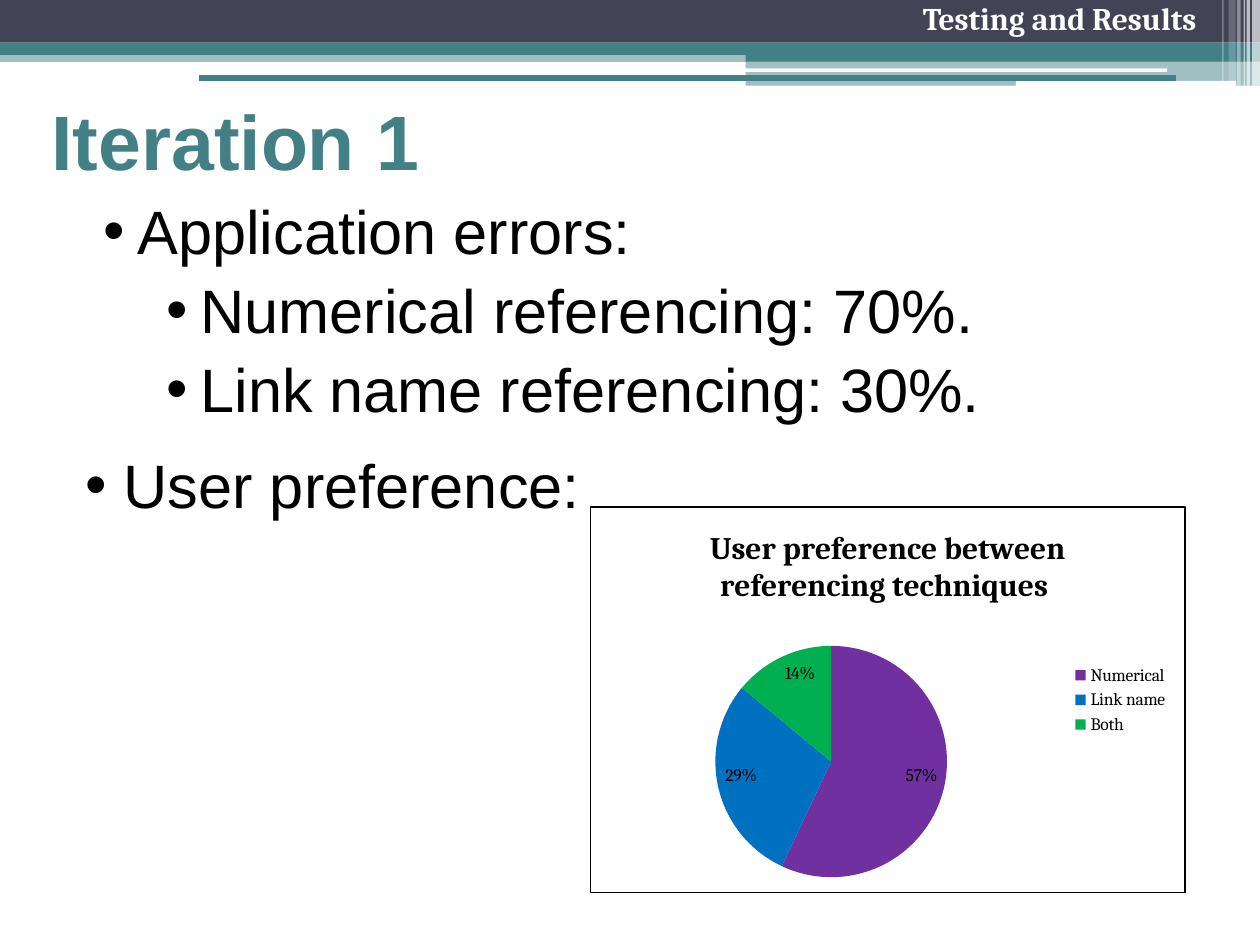
from lxml.etree import SubElement
from pptx import Presentation
from pptx.chart.data import CategoryChartData
from pptx.dml.color import RGBColor
from pptx.enum.chart import XL_CHART_TYPE as ChartType
from pptx.enum.chart import XL_LABEL_POSITION as LabelPosition
from pptx.enum.chart import XL_LEGEND_POSITION as LegendPosition
from pptx.enum.shapes import MSO_CONNECTOR as Connector
from pptx.enum.shapes import MSO_SHAPE as Shape
from pptx.enum.text import MSO_ANCHOR as Anchor
from pptx.enum.text import MSO_AUTO_SIZE as AutoSize
from pptx.enum.text import PP_ALIGN as Align
from pptx.oxml import parse_xml
from pptx.oxml.ns import nsdecls, qn
from pptx.util import Cm, Pt

TEAL, SLATE, WHITE, BLACK = "438086", "424456", "FFFFFF", "000000"
BANDS = [
    (0, 1.02, 25.4, 0.23, TEAL, 50),
    (0, 0, 25.4, 0.86, SLATE, 100),
    (0, 0.86, 25.4, 0.25, TEAL, 100),
    (15.03, 0.99, 10.37, 0.25, TEAL, 100),
    (15.03, 1.23, 10.37, 0.5, TEAL, 50),
]
HIGHLIGHTS = [(15.02, 1.38, 8.51, 0.07), (20.48, 1.63, 4.44, 0.1)]
STRIPES = [
    (25.24, 0.16, 1.73, 65),
    (25.13, 0.07, 1.73, 65),
    (25.07, 0.03, 1.73, 60),
    (24.94, 0.07, 1.73, 40),
    (24.77, 0.14, 1.63, 20),
    (24.64, 0.03, 1.63, 30),
]
ERRORS = [
    ("Application errors:", 1.83),
    ("Numerical referencing: 70%.", 3.1),
    ("Link name referencing: 30%.", 3.1),
]
PREFERENCES = [
    ("Numerical", 57, "7030A0"),
    ("Link name ", 29, "0070C0"),
    ("Both", 14, "00B050"),
]


def color(value):
    """Turn a hex string into a colour."""
    return RGBColor.from_string(value)


def add_block(slide, left, top, width, height, fill, opacity=100, kind=Shape.RECTANGLE):
    """Add a borderless filled shape with an opacity in percent."""
    shape = slide.shapes.add_shape(kind, Cm(left), Cm(top), Cm(width), Cm(height))
    shape.shadow.inherit = False
    shape.fill.solid()
    shape.fill.fore_color.rgb = color(fill)
    shape.line.fill.background()
    if opacity < 100:
        tint = shape.fill._xPr.find(".//" + qn("a:srgbClr"))
        SubElement(tint, qn("a:alpha"), val=str(opacity * 1000))


def add_rule(slide, left, right, y):
    """Add the horizontal teal line."""
    line = slide.shapes.add_connector(Connector.STRAIGHT, Cm(left), Cm(y), Cm(right), Cm(y))
    line.line.color.rgb = color(TEAL)
    line.line.width = Pt(3)
    SubElement(line._element.spPr, qn("a:effectLst"))


def set_font(font, size, name, ink, bold=False):
    """Set the size, typeface, colour and weight of a font."""
    font.size = Pt(size)
    font.name = name
    font.color.rgb = color(ink)
    font.bold = bold


def add_text(slide, left, top, width, height, lines, size, name, ink, bold=False):
    """Add a wrapped text box and return its text frame."""
    box = slide.shapes.add_textbox(Cm(left), Cm(top), Cm(width), Cm(height))
    frame = box.text_frame
    frame.word_wrap = True
    frame.text = "\n".join(lines)
    for paragraph in frame.paragraphs:
        for run in paragraph.runs:
            set_font(run.font, size, name, ink, bold)
    return frame


def set_bullet(paragraph, margin=0, hanging=0):
    """Give a paragraph a round bullet, its indents and space before."""
    paragraph.space_before = Pt(3)
    properties = paragraph._p.get_or_add_pPr()
    properties.set("marL", str(Cm(margin)))
    properties.set("indent", str(-Cm(hanging)))
    SubElement(properties, qn("a:buFont"), typeface="Arial")
    SubElement(properties, qn("a:buChar"), char="•")


def set_plot_layout(chart, **fractions):
    """Fix the inner plot area at fractions of the chart area."""
    plot_area = chart._chartSpace.chart.plotArea
    for old in plot_area.findall(qn("c:layout")):
        plot_area.remove(old)
    places = "".join(f'<c:{key} val="{value}"/>' for key, value in fractions.items())
    plot_area.insert(0, parse_xml(
        f'<c:layout {nsdecls("c")}><c:manualLayout><c:layoutTarget val="inner"/>'
        f'<c:xMode val="edge"/><c:yMode val="edge"/>{places}</c:manualLayout></c:layout>'))


def set_chart_border(chart):
    """Draw a thin black frame round the chart."""
    text_properties = chart._chartSpace.find(qn("c:txPr"))
    text_properties.addprevious(parse_xml(
        f'<c:spPr {nsdecls("c", "a")}><a:ln w="{Pt(0.75)}"><a:solidFill>'
        f'<a:srgbClr val="{BLACK}"/></a:solidFill></a:ln></c:spPr>'))


def add_preference_pie(slide, left, top, width, height):
    """Add the pie chart of user preferences."""
    data = CategoryChartData()
    data.categories = [name for name, _, _ in PREFERENCES]
    data.add_series("Series 1", [value for _, value, _ in PREFERENCES])
    chart = slide.shapes.add_chart(
        ChartType.PIE, Cm(left), Cm(top), Cm(width), Cm(height), data).chart
    set_font(chart.font, 10, "Cambria", BLACK)
    chart.has_title = True
    title = chart.chart_title.text_frame
    title.text = "User preference between referencing techniques "
    set_font(title.paragraphs[0].runs[0].font, 18, "Cambria", BLACK, True)
    chart.chart_title.include_in_layout = False
    chart.has_legend = True
    chart.legend.position = LegendPosition.RIGHT
    chart.legend.include_in_layout = False
    plot = chart.plots[0]
    plot.vary_by_categories = True
    for index, (_, _, fill) in enumerate(PREFERENCES):
        point_fill = plot.series[0].points[index].format.fill
        point_fill.solid()
        point_fill.fore_color.rgb = color(fill)
    plot.has_data_labels = True
    labels = plot.data_labels
    labels.show_percentage = True
    labels.show_value = False
    labels.number_format = "0%"
    labels.number_format_is_linked = False
    labels.position = LabelPosition.INSIDE_END
    set_plot_layout(chart, x=0.21, y=0.36, w=0.39, h=0.6)
    set_chart_border(chart)


def add_banner(slide):
    """Add the layered bands and stripes at the top."""
    for band in BANDS:
        add_block(slide, *band)
    for highlight in HIGHLIGHTS:
        add_block(slide, *highlight, WHITE, kind=Shape.ROUNDED_RECTANGLE)
    for left, width, height, opacity in STRIPES:
        add_block(slide, left, 0, width, height, WHITE, opacity)


def main():
    """Build and save the slide."""
    presentation = Presentation()
    presentation.slide_width, presentation.slide_height = Cm(25.4), Cm(19.05)
    slide = presentation.slides.add_slide(presentation.slide_layouts[6])
    add_banner(slide)
    header = add_text(slide, 9.7, 0, 14.81, 1.27, ["Testing and Results "],
                      18, "Cambria", WHITE, True).paragraphs[0]
    header.alignment = Align.RIGHT
    header.line_spacing = 0.8
    header.space_before = Pt(3.6)
    add_rule(slide, 4.01, 23.7, 1.57)
    title = add_text(slide, 0.79, 1.32, 17.37, 3, ["Iteration 1"], 44, "Arial", TEAL, True)
    title.vertical_anchor = Anchor.MIDDLE
    errors = add_text(slide, 0.69, 3.78, 22.07, 5.28, [line for line, _ in ERRORS],
                      35, "Arial", BLACK)
    for paragraph, (_, margin) in zip(errors.paragraphs, ERRORS):
        paragraph.level = 1 if margin < 2 else 2
        set_bullet(paragraph, margin, 0.69)
    add_preference_pie(slide, 11.89, 10.21, 12.01, 7.8)
    preference = add_text(slide, 1.47, 8.89, 15.04, 2.51, [" User preference:"],
                          35, "Arial", BLACK)
    preference.auto_size = AutoSize.SHAPE_TO_FIT_TEXT
    preference.paragraphs[0].level = 1
    set_bullet(preference.paragraphs[0])
    presentation.save("out.pptx")


if __name__ == "__main__":
    main()
